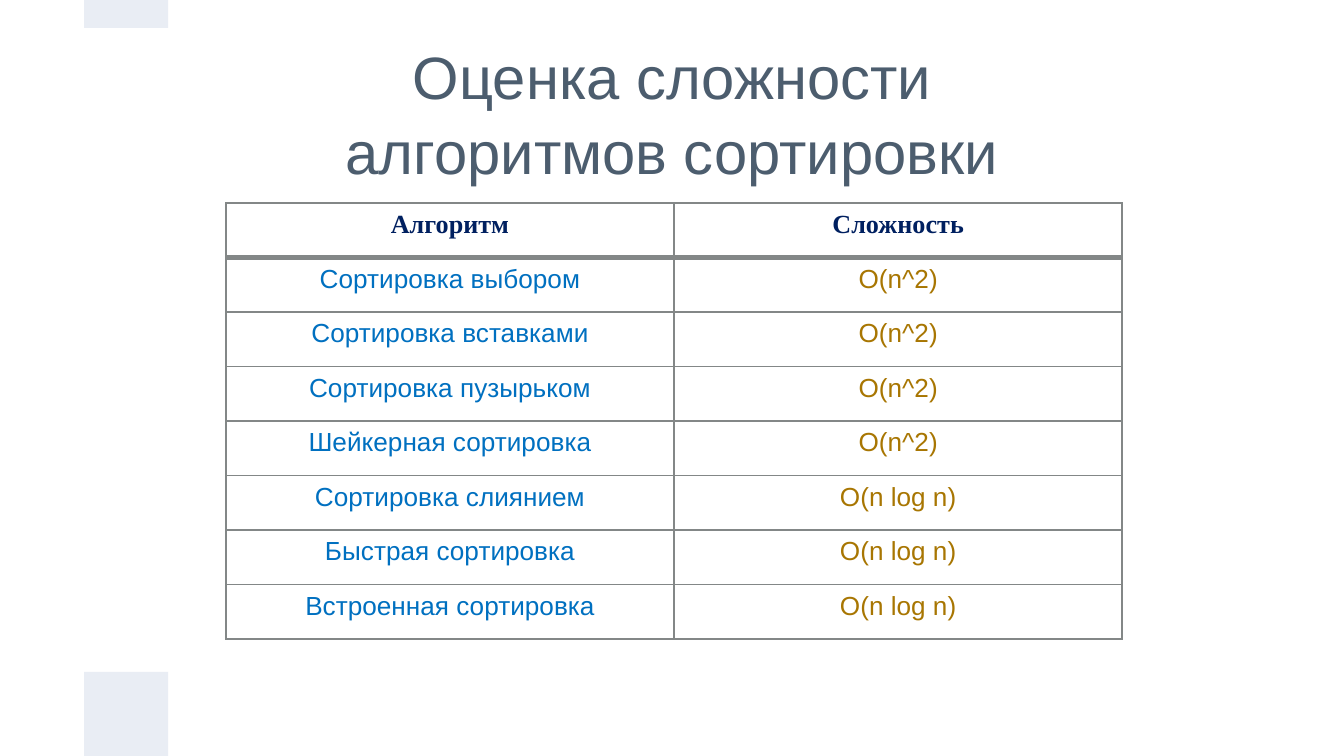
import pptx
import pptx.dml.color
import pptx.enum.shapes
import pptx.enum.text
import pptx.oxml
import pptx.oxml.ns
import pptx.util

Cm = pptx.util.Cm
Pt = pptx.util.Pt
RGBColor = pptx.dml.color.RGBColor
CENTER = pptx.enum.text.PP_ALIGN.CENTER

PALE = RGBColor(0xE9, 0xED, 0xF4)
SLATE = RGBColor(0x4C, 0x5D, 0x6E)
NAVY = RGBColor(0x00, 0x20, 0x60)
BLUE = RGBColor(0x00, 0x70, 0xC0)
OCHRE = RGBColor(0xA8, 0x76, 0x02)
GREY = RGBColor(0x83, 0x87, 0x87)

# Content
TITLE = ["Оценка сложности", "алгоритмов сортировки"]
ROWS = [
    ("Алгоритм", "Сложность"),
    ("Сортировка выбором", "O(n^2)"),
    ("Сортировка вставками", "O(n^2)"),
    ("Сортировка пузырьком", "O(n^2)"),
    ("Шейкерная сортировка", "O(n^2)"),
    ("Сортировка слиянием", "O(n log n)"),
    ("Быстрая сортировка", "O(n log n)"),
    ("Встроенная сортировка", "O(n log n)"),
]
BARS = [(0, 0.53), (12.7, 1.59)]  # top, height in cm

# Formats
TITLE_FORMAT = {"name": "Arial", "size": Pt(32)}
HEAD_FORMAT = {"name": "Times New Roman", "size": Pt(14), "bold": True}
BODY_FORMAT = {"name": "Arial", "size": Pt(14), "bold": False}
COLUMN_COLORS = [BLUE, OCHRE]
COLUMN_WIDTH, ROW_HEIGHT = Cm(8.47), Cm(1.03)


def write(para, text, values, color):
    para.alignment = CENTER
    span = para.add_run()
    span.text = text
    for name, value in values.items():
        setattr(span.font, name, value)
    span.font.color.rgb = color


def set_borders(cell, widths):
    properties = cell._tc.get_or_add_tcPr()
    for index, (side, width) in enumerate(widths.items()):
        line = pptx.oxml.parse_xml(
            f'<a:{side} {pptx.oxml.ns.nsdecls("a")} w="{Pt(width)}">'
            f'<a:solidFill><a:srgbClr val="{GREY}"/></a:solidFill></a:{side}>')
        properties.insert(index, line)


deck = pptx.Presentation()
deck.slide_width, deck.slide_height = Cm(25.4), Cm(14.29)
page = deck.slides.add_slide(deck.slide_layouts[6])

# Side bars
for top, height in BARS:
    bar = page.shapes.add_shape(pptx.enum.shapes.MSO_SHAPE.RECTANGLE,
                                Cm(1.59), Cm(top), Cm(1.59), Cm(height))
    bar.shadow.inherit = False
    bar.fill.solid()
    bar.fill.fore_color.rgb = PALE
    bar.line.fill.background()

# Title
box = page.shapes.add_textbox(Cm(3.18), Cm(1.4), Cm(19.05), Cm(1.4))
frame = box.text_frame
frame.word_wrap = True
frame.vertical_anchor = pptx.enum.text.MSO_ANCHOR.MIDDLE
for side in ("left", "top", "right", "bottom"):
    setattr(frame, f"margin_{side}", Cm(0.25))
for index, text in enumerate(TITLE):
    para = frame.add_paragraph() if index else frame.paragraphs[0]
    para.line_spacing = 1.05
    write(para, text, TITLE_FORMAT, SLATE)

# Complexity table
table = page.shapes.add_table(len(ROWS), 2, Cm(4.27), Cm(3.84),
                              COLUMN_WIDTH * 2, ROW_HEIGHT * len(ROWS)).table
table.first_row = table.horz_banding = False
for column in table.columns:
    column.width = COLUMN_WIDTH
for r, texts in enumerate(ROWS):
    table.rows[r].height = ROW_HEIGHT
    for c, text in enumerate(texts):
        cell = table.cell(r, c)
        cell.fill.background()
        set_borders(cell, {"lnL": 1, "lnR": 1, "lnT": 3 if r == 1 else 1,
                           "lnB": 3 if r == 0 else 1})
        write(cell.text_frame.paragraphs[0], text,
              BODY_FORMAT if r else HEAD_FORMAT,
              COLUMN_COLORS[c] if r else NAVY)

deck.save("out.pptx")
